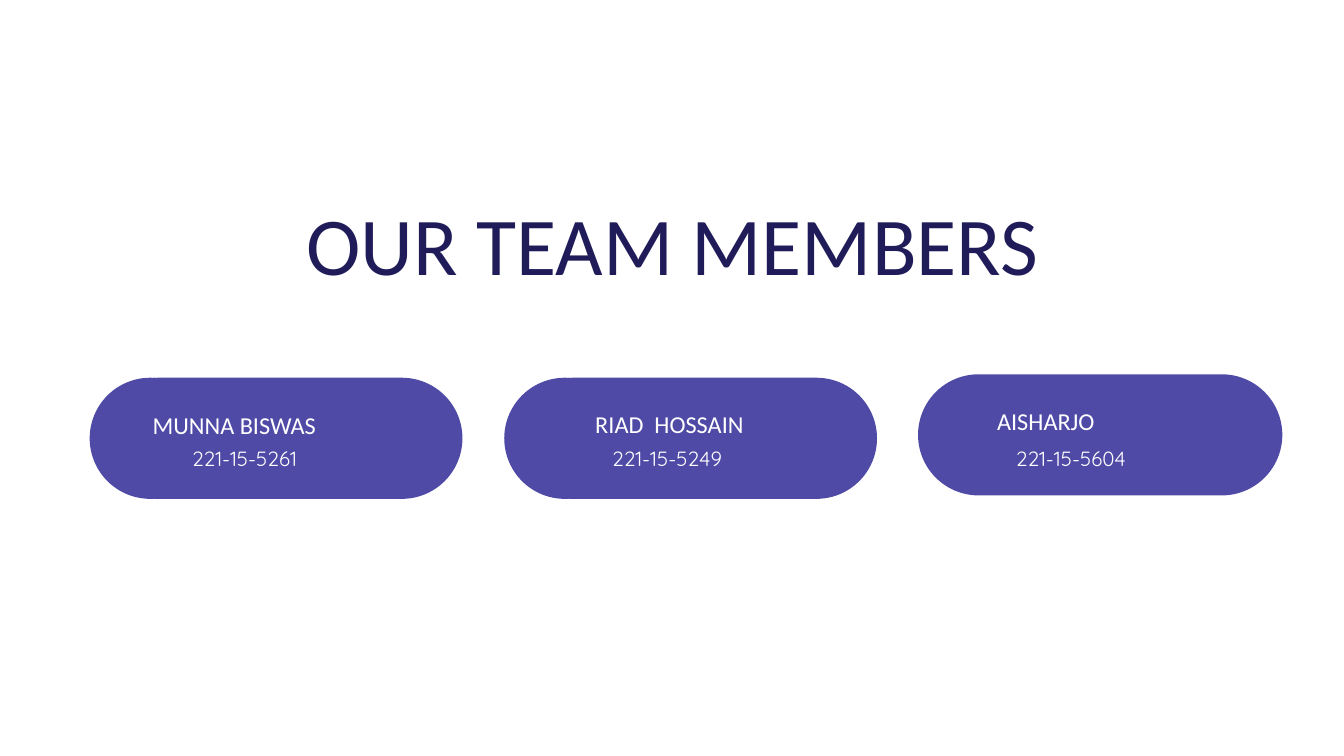
"""Build the team members slide."""
from pptx import Presentation
from pptx.dml.color import RGBColor
from pptx.enum.shapes import MSO_SHAPE
from pptx.enum.text import PP_ALIGN
from pptx.util import Cm, Pt

PILL = MSO_SHAPE.ROUNDED_RECTANGLE
OVAL = MSO_SHAPE.OVAL
LEFT, MID = PP_ALIGN.LEFT, PP_ALIGN.CENTER
NAVY = RGBColor(0x20, 0x1C, 0x59)
VIOLET = RGBColor(0x50, 0x4A, 0xA7)
WHITE = RGBColor(0xFF, 0xFF, 0xFF)

TITLE = "OUR TEAM MEMBERS"
TEAM = [
    {"pill": (3.71, 14.28), "cap": True,
     "name": ("MUNNA BISWAS", 5.77, 15.34, 10.16),
     "id": ("221-15-5261", 7.26, 5.79)},
    {"pill": (19.38, 14.28), "cap": True,
     "name": ("RIAD  HOSSAIN", 22.5, 15.29, 9.3),
     "id": ("221-15-5249", 23.14, 7.52)},
    {"pill": (34.7, 14.15), "cap": False,
     "name": ("AISHARJO", 37.69, 15.19, 9.3),
     "id": ("221-15-5604", 38.18 + 0.22, 6.79)},
]
WIDE, HIGH = 13.77, 4.58
SHIFT = 0.32
ID_TOP = 16.71


def add_form(slide, kind, x, y, w, h):
    form = slide.shapes.add_shape(kind, Cm(x), Cm(y), Cm(w), Cm(h))
    form.shadow.inherit = False
    form.fill.solid()
    form.fill.fore_color.rgb = VIOLET
    form.line.fill.background()
    if kind == PILL:
        form.adjustments[0] = 0.5


def add_text(slide, text, x, y, w, h, size, lead, face="Calibri",
             color=WHITE, align=LEFT):
    frame = slide.shapes.add_textbox(Cm(x), Cm(y), Cm(w), Cm(h)).text_frame
    frame.word_wrap = True
    frame.margin_left = frame.margin_right = 0
    frame.margin_top = frame.margin_bottom = 0
    para = frame.paragraphs[0]
    para.alignment = align
    para.line_spacing = Pt(lead)
    run = para.add_run()
    run.text = text
    run.font.name = face
    run.font.size = Pt(size)
    run.font.color.rgb = color


def main():
    deck = Presentation()
    deck.slide_width, deck.slide_height = Cm(50.8), Cm(28.58)
    slide = deck.slides.add_slide(deck.slide_layouts[6])

    add_text(slide, TITLE, 5.77, 7.32, 39.29, 3.71, 88, 105.6,
             color=NAVY, align=MID)
    for one in TEAM:
        x, y = one["pill"]
        add_form(slide, PILL, x, y, WIDE, HIGH)
        if one["cap"]:
            add_form(slide, OVAL, x - SHIFT, y, HIGH, HIGH)
        name, x, y, w = one["name"]
        add_text(slide, name, x, y, w, 1.24, 26, 36.4)
        code, x, w = one["id"]
        add_text(slide, code, x, ID_TOP, w, 1.07, 22, 30.8, "Quicksand")

    deck.save("out.pptx")


if __name__ == "__main__":
    main()
